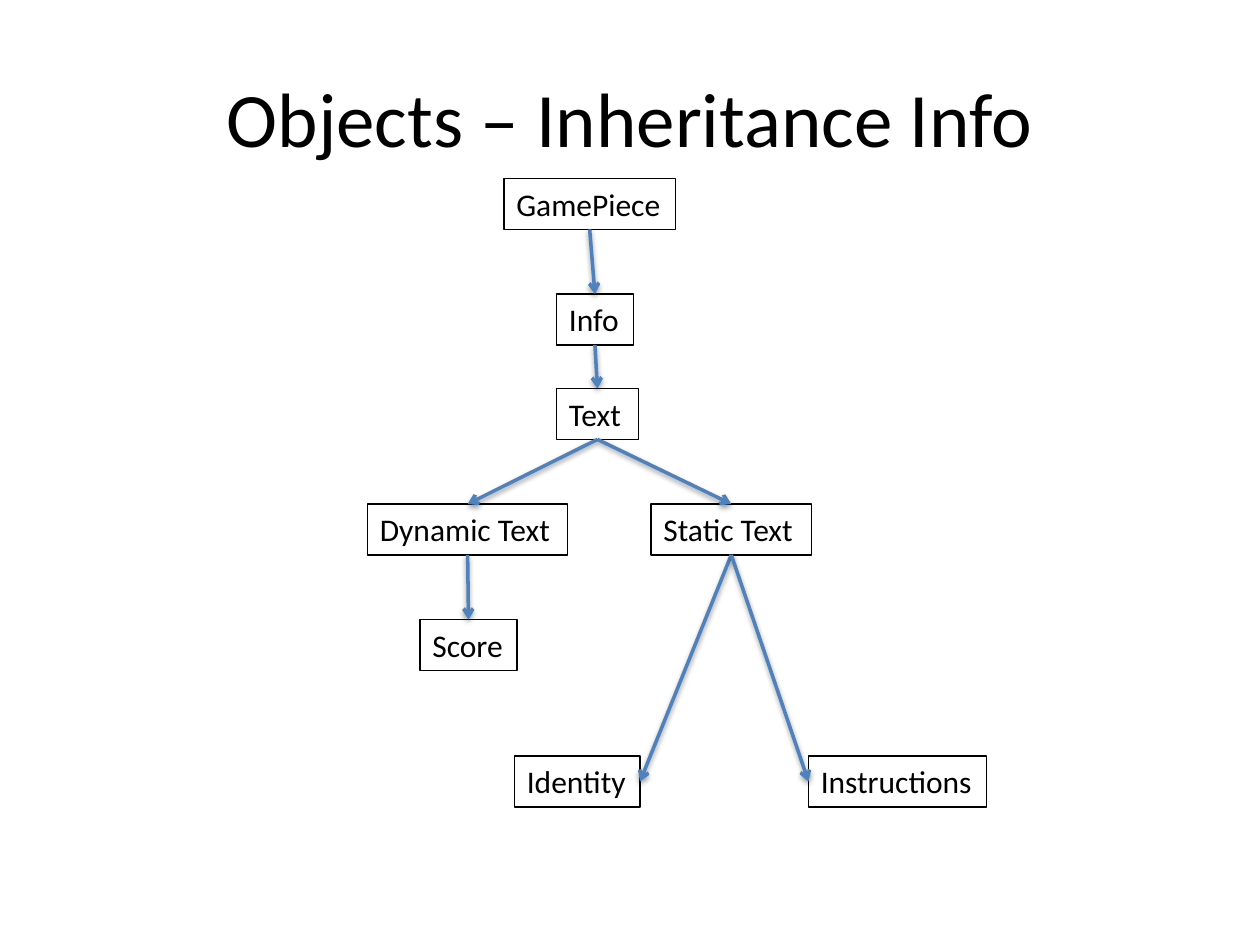
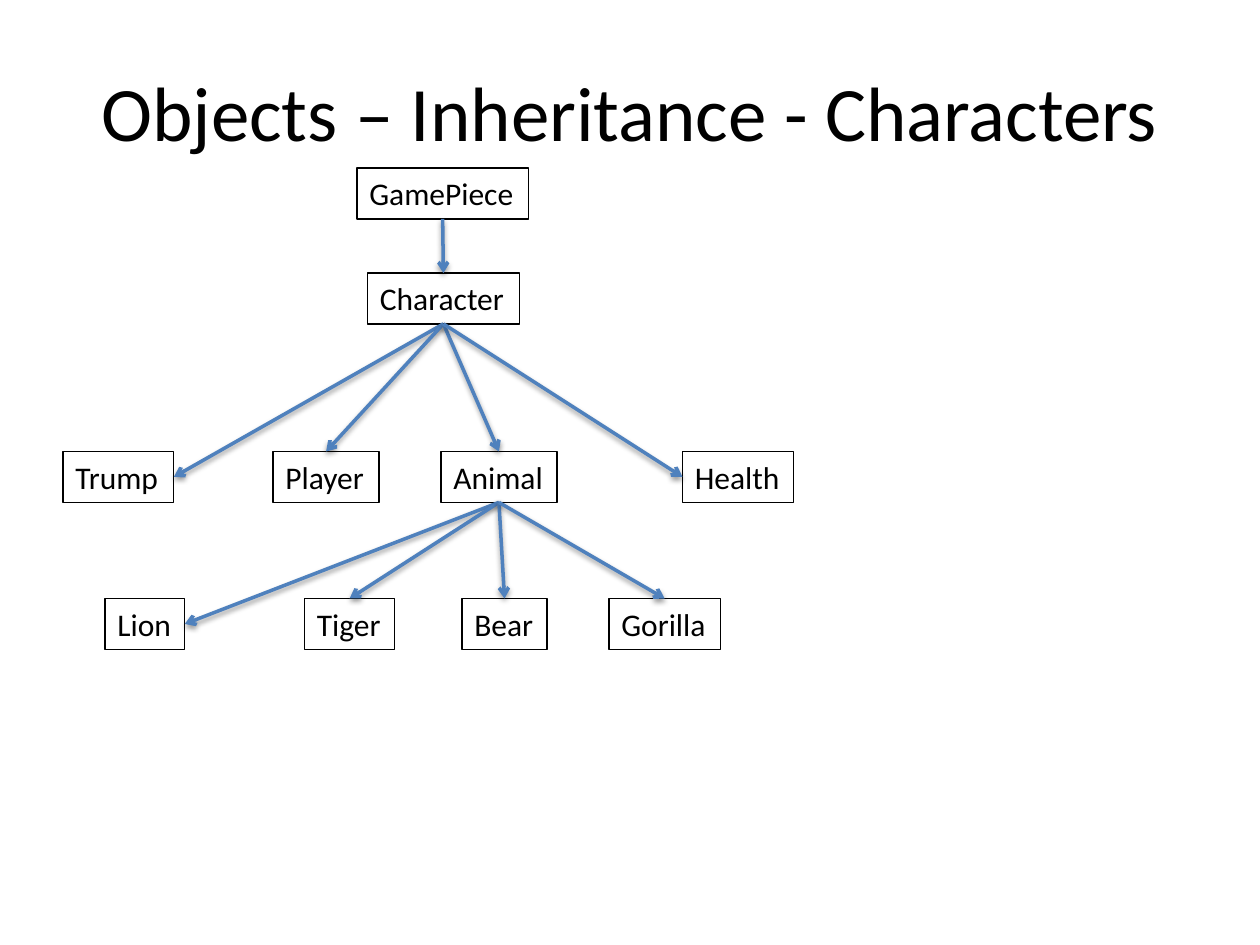
from dataclasses import dataclass

from lxml import etree
from pptx import Presentation
from pptx import util as u
from pptx.dml.color import RGBColor
from pptx.enum import shapes, text
from pptx.oxml import parse_xml
from pptx.oxml.ns import nsdecls, qn

WIDE, HIGH = u.Inches(10), u.Inches(7.5)
COLS, ROWS = 120, 90
DEEP = 4.85
FONT = "Calibri"
HUES = {"ink": "000000", "edge": "4F81BD", "back": "FFFFFF"}
TOP, LEFT, BASE, RIGHT = range(4)


@dataclass(frozen=True)
class Node:
    name: str
    col: float
    row: float
    span: float
    up: str = ""
    side: int = TOP


@dataclass(frozen=True)
class Tree:
    title: str
    row: float
    nodes: tuple[Node, ...]


TREES = (
    Tree("Objects – Inheritance Info", 3.6, (
        Node("GamePiece", 48, 17, 16.32),
        Node("Info", 53, 28, 7.32, "GamePiece"),
        Node("Text", 53, 37, 7.8, "Info"),
        Node("Dynamic Text", 35, 48, 19.08, "Text"),
        Node("Static Text", 62, 48, 15.3, "Text"),
        Node("Score", 40, 59, 9.24, "Dynamic Text"),
        Node("Identity", 49, 72, 11.96, "Static Text", RIGHT),
        Node("Instructions", 77, 72, 16.96, "Static Text", LEFT),
    )),
    Tree("Objects – Inheritance - Characters", 3, (
        Node("GamePiece", 34, 16, 16.32),
        Node("Character", 35, 26, 14.46, "GamePiece"),
        Node("Trump", 6, 43, 10.56, "Character", RIGHT),
        Node("Player", 26, 43, 10.12, "Character"),
        Node("Animal", 42, 43, 11.04, "Character"),
        Node("Health", 65, 43, 10.58, "Character", LEFT),
        Node("Lion", 10, 57, 7.6, "Animal", RIGHT),
        Node("Tiger", 29, 57, 8.6, "Animal"),
        Node("Bear", 44, 57, 8.1, "Animal"),
        Node("Gorilla", 58, 57, 10.6, "Animal"),
    )),
)


def hue(key: str) -> RGBColor:
    return RGBColor.from_string(HUES[key])


def label(slide, words: str, col: float, row: float,
          span: float, deep: float, size: int):
    box = slide.shapes.add_textbox(
        round(WIDE * col / COLS), round(HIGH * row / ROWS),
        round(WIDE * span / COLS), round(HIGH * deep / ROWS))
    box.text_frame.text = words
    font = box.text_frame.paragraphs[0].runs[0].font
    font.name, font.size = FONT, u.Pt(size)
    font.color.rgb = hue("ink")
    return box


def head(slide, tree: Tree) -> None:
    frame = label(slide, tree.title, 6, tree.row, 108, 15, 44).text_frame
    frame.word_wrap = True
    frame.vertical_anchor = text.MSO_ANCHOR.MIDDLE
    frame.paragraphs[0].alignment = text.PP_ALIGN.CENTER


def card(slide, node: Node):
    box = label(slide, node.name, node.col, node.row, node.span, DEEP, 18)
    box.line.color.rgb = hue("ink")
    box.line.width = u.Pt(0.75)
    box.text_frame.word_wrap = False
    box.text_frame.auto_size = text.MSO_AUTO_SIZE.SHAPE_TO_FIT_TEXT
    return box


def arrow(slide, start, end, side: int) -> None:
    link = slide.shapes.add_connector(
        shapes.MSO_CONNECTOR.STRAIGHT, 0, 0, 0, 0)
    link.begin_connect(start, BASE)
    link.end_connect(end, side)
    link.line.color.rgb = hue("edge")
    link.line.width = u.Pt(2)
    etree.SubElement(link.line._get_or_add_ln(), qn("a:tailEnd"), type="arrow")
    link._element.spPr.append(parse_xml(
        f'<a:effectLst {nsdecls("a")}><a:outerShdw blurRad="{u.Pt(3.1)}" '
        f'dist="{u.Pt(1.6)}" dir="5400000" rotWithShape="0">'
        f'<a:srgbClr val="{HUES["ink"]}"><a:alpha val="38000"/></a:srgbClr>'
        '</a:outerShdw></a:effectLst>'))


def draw(deck, tree: Tree) -> None:
    slide = deck.slides.add_slide(deck.slide_layouts[6])
    fill = slide.background.fill
    fill.solid()
    fill.fore_color.rgb = hue("back")
    head(slide, tree)
    cards = {node.name: card(slide, node) for node in tree.nodes}
    for node in tree.nodes:
        if node.up:
            arrow(slide, cards[node.up], cards[node.name], node.side)


def main() -> None:
    deck = Presentation()
    deck.slide_width, deck.slide_height = WIDE, HIGH
    for tree in TREES:
        draw(deck, tree)
    deck.save("out.pptx")


if __name__ == "__main__":
    main()
